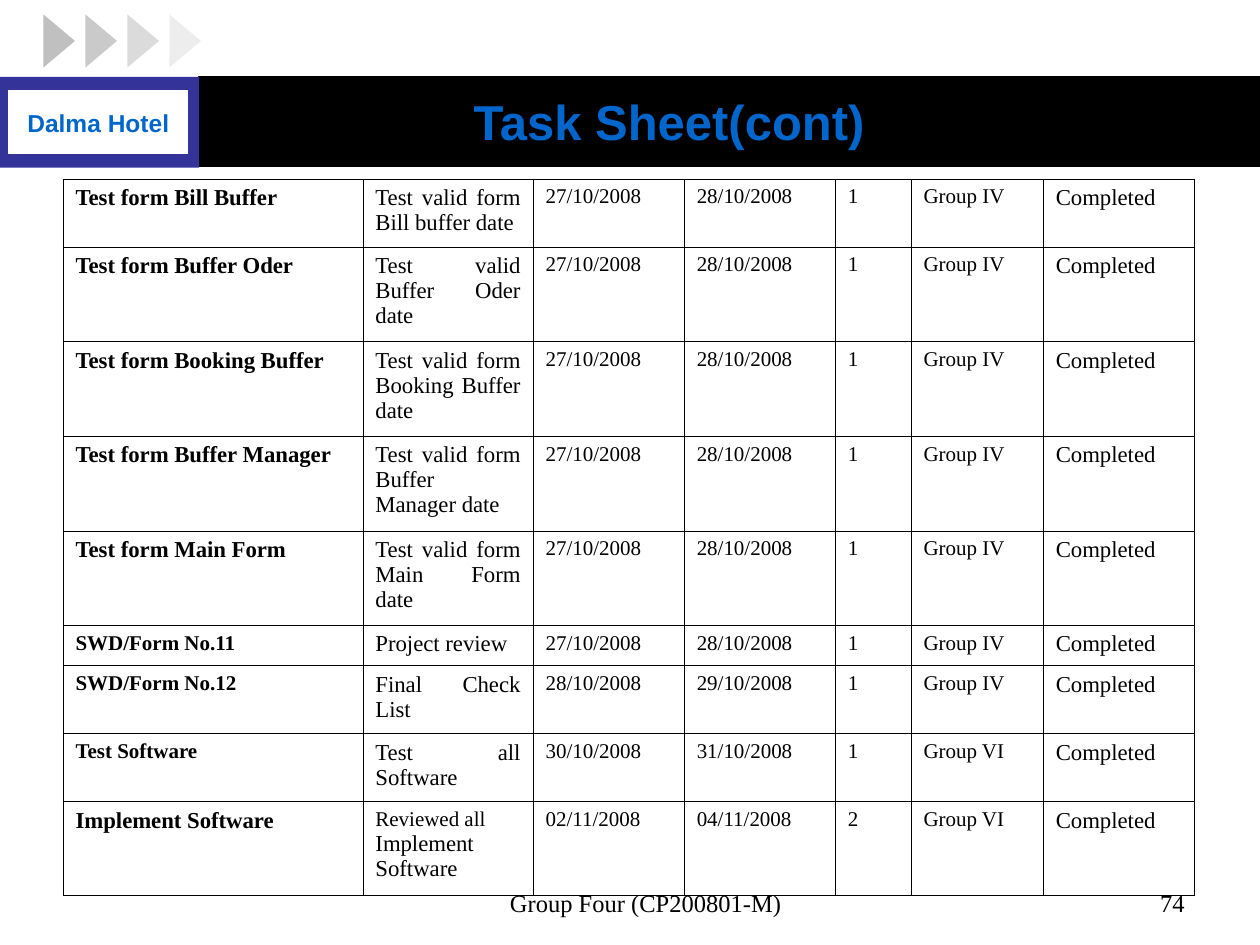
"""Build the task sheet slide: header band, schedule table and footer."""
from lxml import etree
from pptx import Presentation, util as u
from pptx.dml.color import RGBColor
from pptx.enum import shapes, text
from pptx.oxml import ns

COLOURS = {"band": "000000", "corner": "333399", "arrow": "C0C0C0",
           "accent": "0066CC", "paper": "FFFFFF", "ink": "000000"}
SERIF, SANS = "Times New Roman", "Arial"

deck = Presentation()
deck.slide_width, deck.slide_height = u.Inches(10), u.Inches(7.5)
COL, ROW = deck.slide_width / 100, deck.slide_height / 75
slide = deck.slides.add_slide(deck.slide_layouts[6])


def block(preset, left, top, width, height, fill, line=None):
    part = slide.shapes.add_shape(preset, int(left * COL), int(top * ROW), int(width * COL), int(height * ROW))
    part.shadow.inherit = False
    part.fill.solid()
    part.fill.fore_color.rgb = RGBColor.from_string(COLOURS[fill])
    if line:
        part.line.color.rgb = RGBColor.from_string(COLOURS[line])
        part.line.width = u.Pt(0.75)
    else:
        part.line.fill.background()
    return part


def write(frame, align, runs, font=SERIF, bold=False, colour="ink"):
    frame.word_wrap = True
    paragraph = frame.paragraphs[0]
    paragraph.alignment = align
    for words, size in runs:
        run = paragraph.add_run()
        run.text = words
        run.font.name, run.font.size, run.font.bold = font, u.Pt(size), bold
        run.font.color.rgb = RGBColor.from_string(COLOURS[colour])
    return paragraph


RECT, TRIANGLE = shapes.MSO_SHAPE.RECTANGLE, shapes.MSO_SHAPE.ISOSCELES_TRIANGLE
LEFT, CENTER, RIGHT, JUSTIFY = (text.PP_ALIGN.LEFT, text.PP_ALIGN.CENTER,
                                text.PP_ALIGN.RIGHT, text.PP_ALIGN.JUSTIFY)

block(RECT, 15.8, 6.1, 84.2, 7.1, "band", "band")
block(RECT, 0, 6.1, 15.8, 7.2, "corner")
for step, opacity in enumerate((100, 84, 56, 27)):
    arrow = block(TRIANGLE, 2.6 + step * 10 / 3, 2, 4.2, 2.5, "arrow")
    arrow.rotation = 90
    tint = arrow.fill._xPr.find(ns.qn("a:solidFill"))[0]
    etree.SubElement(tint, ns.qn("a:alpha"), val=str(opacity * 1000))

title = slide.shapes.add_textbox(int(20.6 * COL), int(6.5 * ROW), int(65 * COL), int(6.2 * ROW)).text_frame
title.vertical_anchor = text.MSO_ANCHOR.MIDDLE
write(title, CENTER, [("Task Sheet(cont)", 28)], SANS, True, "accent")

tasks = [
    ("Test form Bill Buffer", 13, "Test valid form Bill buffer date", "27/10/2008", "28/10/2008", "1", "Group IV"),
    ("Test form Buffer Oder", 13, "Test valid Buffer Oder date", "27/10/2008", "28/10/2008", "1", "Group IV"),
    ("Test form Booking Buffer", 13, "Test valid form Booking Buffer date", "27/10/2008", "28/10/2008", "1", "Group IV"),
    ("Test form Buffer Manager", 13, "Test valid form Buffer Manager date", "27/10/2008", "28/10/2008", "1", "Group IV"),
    ("Test form Main Form", 13, "Test valid form Main Form date", "27/10/2008", "28/10/2008", "1", "Group IV"),
    ("SWD/Form No.11", 12, "Project review", "27/10/2008", "28/10/2008", "1", "Group IV"),
    ("SWD/Form No.12", 12, "Final Check List", "28/10/2008", "29/10/2008", "1", "Group IV"),
    ("Test Software", 12, "Test all Software", "30/10/2008", "31/10/2008", "1", "Group VI"),
    ("Implement Software", 13, "Reviewed all |Implement Software", "02/11/2008", "04/11/2008", "2", "Group VI"),
]
column_widths = (23.8, 13.5, 12, 12, 6, 10.5, 12)
row_heights = (5.4, 7.5, 7.5, 7.5, 7.5, 3.2, 5.4, 5.4, 7.4)

schedule = slide.shapes.add_table(len(tasks), len(column_widths), int(5 * COL), int(14.2 * ROW),
                                  int(90 * COL), int(sum(row_heights) * ROW)).table
schedule.first_row = schedule.horz_banding = False
for column, width in zip(schedule.columns, column_widths):
    column.width = int(width * COL)
for row, height, (task, task_size, detail, start, end, days, team) in zip(schedule.rows, row_heights, tasks):
    row.height = int(height * ROW)
    lead, split, rest = detail.partition("|")
    detail_runs = [(lead, 12), (rest, 13)] if split else [(detail, 13)]
    entries = [[(task, task_size)], detail_runs, *([(value, 12)] for value in (start, end, days, team)),
               [("Completed", 13)]]
    for index, (cell, runs) in enumerate(zip(row.cells, entries)):
        write(cell.text_frame, LEFT if len(runs) > 1 else JUSTIFY, runs, bold=index == 0)
        properties = cell._tc.get_or_add_tcPr()
        for side in ("lnL", "lnR", "lnT", "lnB"):
            border = etree.SubElement(properties, ns.qn(f"a:{side}"), w=str(u.Pt(0.45)))
            ink = etree.SubElement(border, ns.qn("a:solidFill"))
            etree.SubElement(ink, ns.qn("a:srgbClr"), val=COLOURS["ink"])
        cell.fill.background()

hotel = block(RECT, 0.7, 7.2, 14.2, 5, "paper", "paper").text_frame
hotel.vertical_anchor = text.MSO_ANCHOR.MIDDLE
write(hotel, CENTER, [("Dalma Hotel", 14)], SANS, True, "accent")

for left, width, align, words in ((34.2, 31.7, CENTER, "Group Four (CP200801-M)"), (71.7, 23.3, RIGHT, "74")):
    footer = slide.shapes.add_textbox(int(left * COL), int(70 * ROW), int(width * COL), int(3.5 * ROW))
    line = write(footer.text_frame, align, [(words, 14)])
    line._p.get_or_add_pPr().set("marL", str(u.Inches(0.24)))

deck.save("out.pptx")
